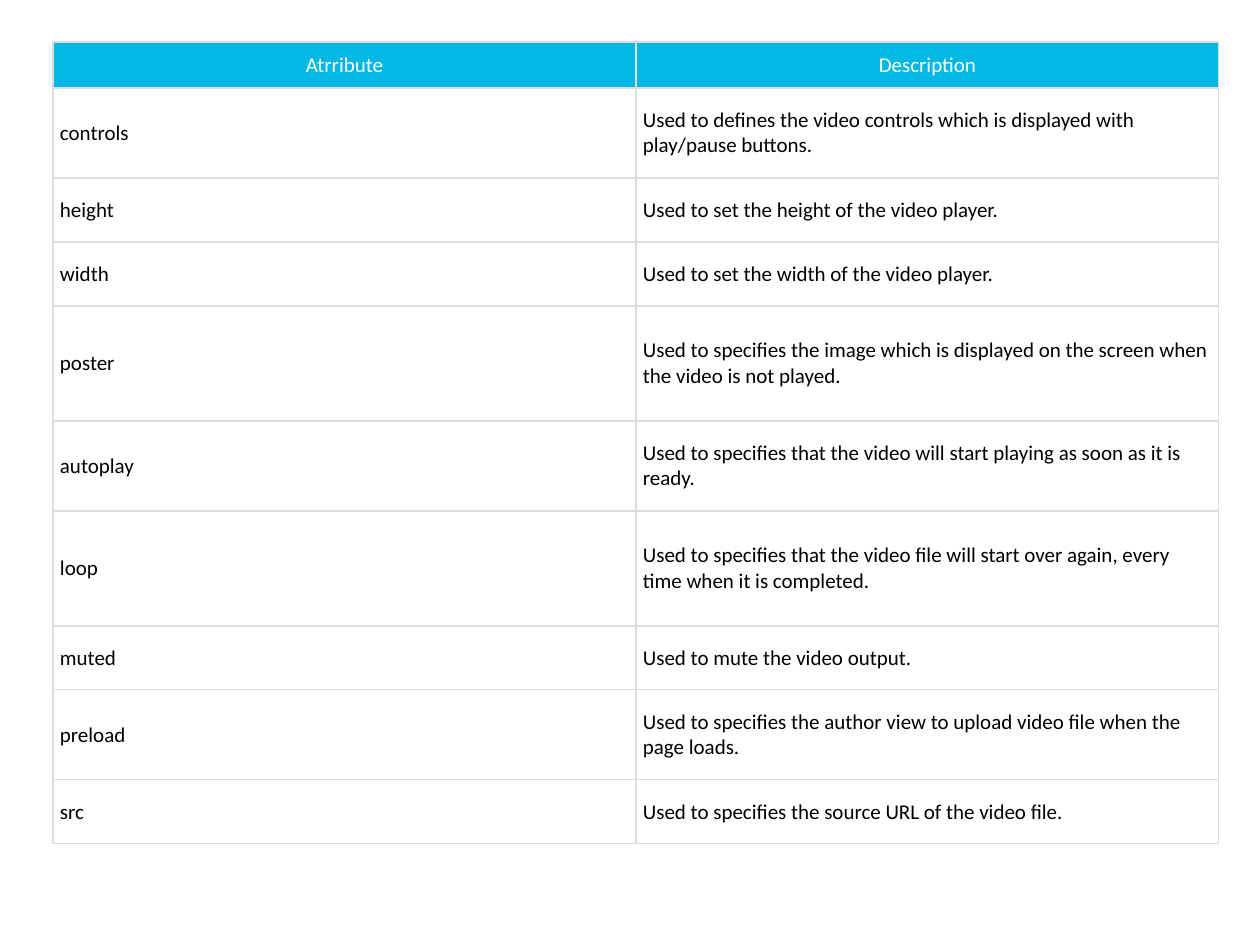
"""Build a slide with a table of video element attributes."""
from lxml import etree
from pptx import Presentation
from pptx.dml.color import RGBColor
from pptx.enum.text import MSO_ANCHOR, PP_ALIGN
from pptx.oxml.ns import qn
from pptx.util import Pt

PX = 914400 // 126
MIDDLE = MSO_ANCHOR.MIDDLE
LEFT, CENTER = PP_ALIGN.LEFT, PP_ALIGN.CENTER
COLORS = {"header": "00B8E4", "body": "FFFFFF", "border": "DDDDDD",
          "header_text": "FFFFFF", "text": "000000"}
ROWS = [
    (46, "Atrribute", "Description"),
    (90, "controls", "Used to defines the video controls which is displayed with play/pause buttons."),
    (64, "height", "Used to set the height of the video player."),
    (64, "width", "Used to set the width of the video player."),
    (115, "poster", "Used to specifies the image which is displayed on the screen when the video is not played."),
    (90, "autoplay", "Used to specifies that the video will start playing as soon as it is ready."),
    (115, "loop", "Used to specifies that the video file will start over again, every time when it is completed."),
    (64, "muted", "Used to mute the video output."),
    (90, "preload", "Used to specifies the author view to upload video file when the page loads."),
    (64, "src", "Used to specifies the source URL of the video file."),
]
COL_WIDTH = 583


def write_cell(cell, text, fill="body", color="text", align=LEFT, pad=7):
    cell.vertical_anchor = MIDDLE
    cell.margin_left = cell.margin_right = 7 * PX
    cell.margin_top = cell.margin_bottom = pad * PX
    p = cell.text_frame.paragraphs[0]
    p.alignment = align
    r = p.add_run()
    r.text = text
    r.font.name = "Calibri"
    r.font.size = Pt(12)
    r.font.bold = False
    r.font.color.rgb = RGBColor.from_string(COLORS[color])
    tc_pr = cell._tc.get_or_add_tcPr()
    for side in ("lnL", "lnR", "lnT", "lnB"):
        ln = etree.SubElement(tc_pr, qn(f"a:{side}"), w=str(Pt(0.75)))
        solid = etree.SubElement(ln, qn("a:solidFill"))
        etree.SubElement(solid, qn("a:srgbClr"), val=COLORS["border"])
    cell.fill.solid()
    cell.fill.fore_color.rgb = RGBColor.from_string(COLORS[fill])


prs = Presentation()
prs.slide_width, prs.slide_height = 1260 * PX, 945 * PX
s = prs.slides.add_slide(prs.slide_layouts[6])

height = sum(row[0] for row in ROWS)
table = s.shapes.add_table(len(ROWS), 2, 53 * PX, 42 * PX,
                           2 * COL_WIDTH * PX, height * PX).table
table.horz_banding = False
for col in table.columns:
    col.width = COL_WIDTH * PX

for i, (row_height, *texts) in enumerate(ROWS):
    table.rows[i].height = row_height * PX
    style = {} if i else {"fill": "header", "color": "header_text",
                          "align": CENTER, "pad": 10}
    for j, text in enumerate(texts):
        write_cell(table.cell(i, j), text, **style)

prs.save("out.pptx")
